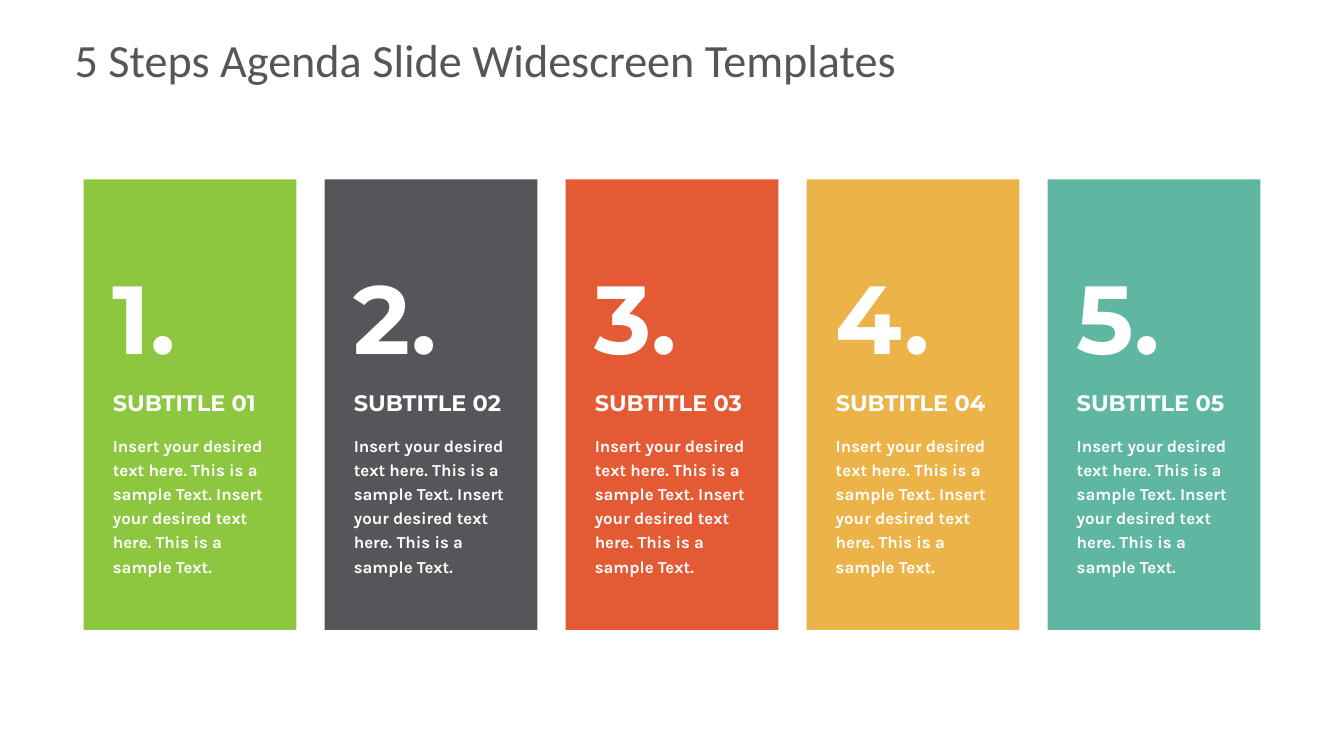
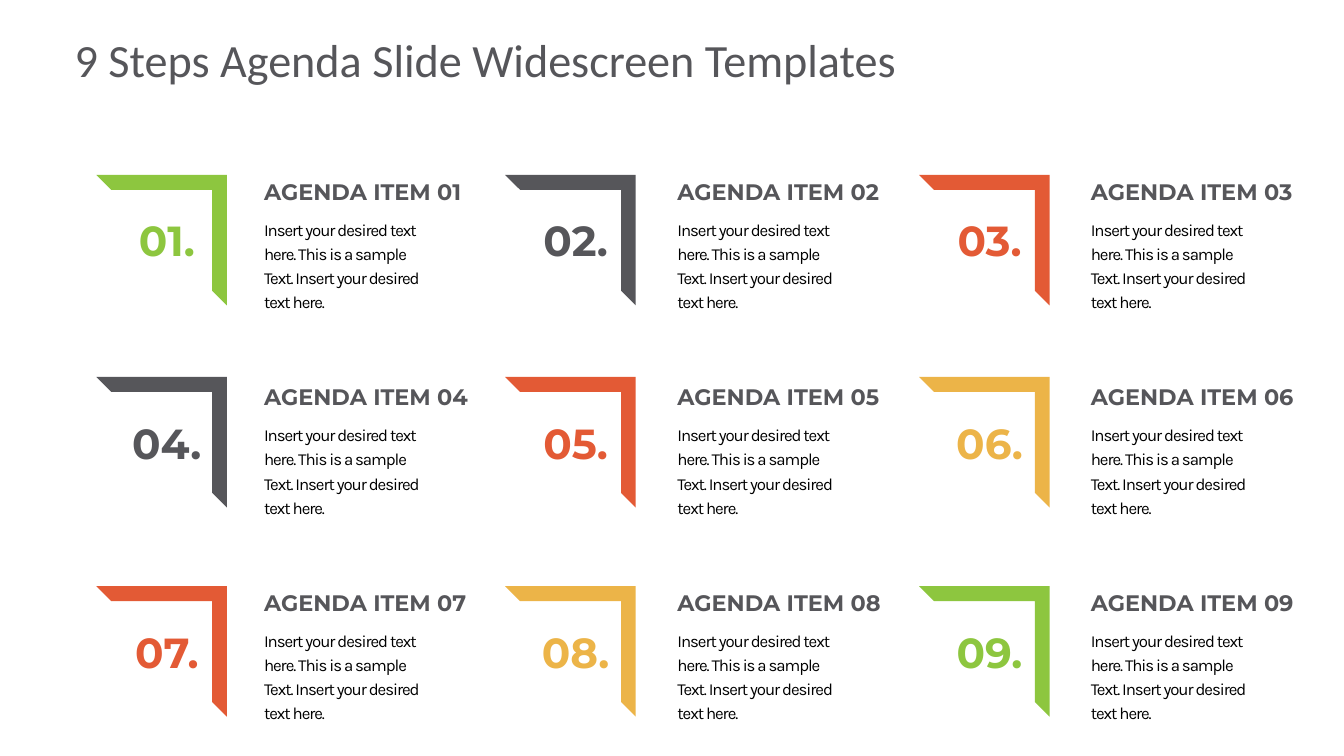
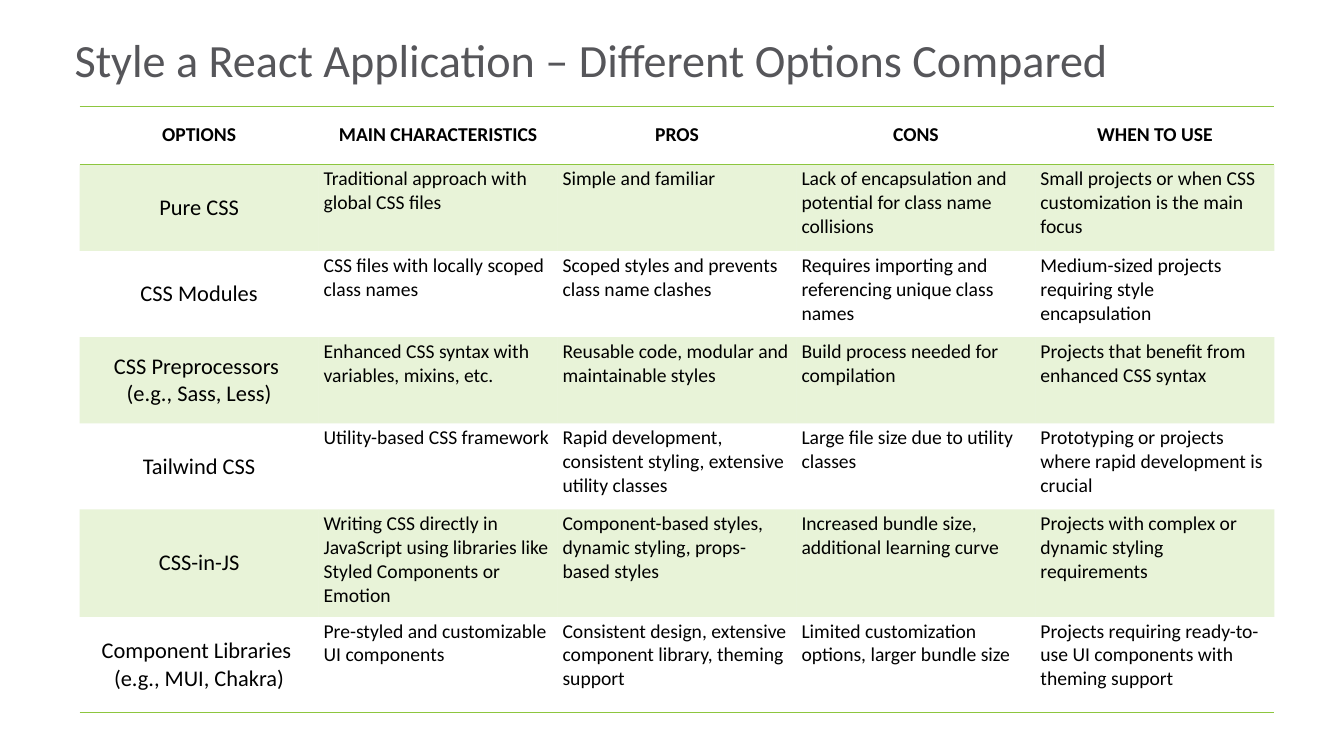
from dataclasses import dataclass
from typing import NamedTuple

from lxml.etree import SubElement
from pptx import Presentation
from pptx.dml.color import RGBColor
from pptx.enum.shapes import MSO_SHAPE
from pptx.enum.text import MSO_ANCHOR, MSO_AUTO_SIZE, PP_ALIGN
from pptx.oxml.ns import qn
from pptx.util import Inches, Pt


@dataclass(frozen=True)
class Theme:
    green: str = "8DC63F"
    grey: str = "56565A"
    red: str = "E35A35"
    amber: str = "ECB448"
    teal: str = "5FB7A2"
    white: str = "FFFFFF"
    black: str = "000000"
    base_font: str = "Calibri"
    head_font: str = "Montserrat"
    body_font: str = "Karla"
    title_size: float = 66
    step_size: float = 138
    number_size: float = 60
    head_size: float = 32
    cell_size: float = 28
    body_size: float = 24

    @property
    def accents(self) -> list[str]:
        return [self.green, self.grey, self.red, self.amber, self.teal]


T = Theme()


class Box(NamedTuple):
    x: float
    y: float
    w: float
    h: float

    def lengths(self) -> list[int]:
        return [Inches(v) for v in self]


@dataclass(frozen=True)
class Style:
    size: float
    font: str
    color: str
    bold: bool = False
    tracking: float = 0


@dataclass(frozen=True)
class Step:
    x: float
    number: int
    color: str


@dataclass(frozen=True)
class AgendaItem:
    frame_x: float
    frame_y: float
    text_x: float
    text_y: float
    number: int
    color: str


TITLE_BOX = Box(1.38, 0.57, 23.94, 1.35)
TITLE_STYLE = Style(T.title_size, T.base_font, T.grey)
SENTENCE = "Insert your desired text here."
SAMPLE = f"{SENTENCE} This is a sample Text."
NO_TABLE_STYLE = "{2D5ABB26-0587-4C30-8999-92F81FD0307C}"


def add_run(p, text: str, style: Style) -> None:
    r = p.add_run()
    r.text = text
    r.font.size = Pt(style.size)
    r.font.name = style.font
    r.font.bold = style.bold
    r.font.color.rgb = RGBColor.from_string(style.color)
    if style.tracking:
        r.font._element.set("spc", str(int(style.tracking * 100)))


def add_slide(prs, title: str):
    s = prs.slides.add_slide(prs.slide_layouts[5])
    sp = s.shapes.title
    sp.left, sp.top, sp.width, sp.height = TITLE_BOX.lengths()
    tf = sp.text_frame
    tf.word_wrap = True
    tf.auto_size = MSO_AUTO_SIZE.NONE
    tf.vertical_anchor = MSO_ANCHOR.MIDDLE
    p = tf.paragraphs[0]
    p.alignment = PP_ALIGN.LEFT
    p.line_spacing = 0.9
    add_run(p, title, TITLE_STYLE)
    return s


def add_shape(s, kind: MSO_SHAPE, box: Box, color: str):
    sp = s.shapes.add_shape(kind, *box.lengths())
    sp.shadow.inherit = False
    sp.fill.solid()
    sp.fill.fore_color.rgb = RGBColor.from_string(color)
    sp.line.fill.background()
    return sp


def add_text(s, box: Box, text: str, style: Style, anchor=MSO_ANCHOR.TOP,
             align=PP_ALIGN.LEFT, wrap: bool = False):
    tf = s.shapes.add_textbox(*box.lengths()).text_frame
    tf.word_wrap = wrap
    tf.auto_size = MSO_AUTO_SIZE.SHAPE_TO_FIT_TEXT
    tf.vertical_anchor = anchor
    p = tf.paragraphs[0]
    p.alignment = align
    add_run(p, text, style)
    return p


def add_body(s, box: Box, text: str, style: Style) -> None:
    p = add_text(s, box, text, style, wrap=True)
    p.line_spacing = 1.2
    p.space_before = Pt(style.size * 0.2)


def draw_step(s, step: Step) -> None:
    x = step.x + 0.48
    add_shape(s, MSO_SHAPE.RECTANGLE, Box(step.x, 3.56, 4.22, 8.94), step.color)
    add_text(s, Box(x, 5.05, 2.14, 2.42), f"{step.number}.",
             Style(T.step_size, T.head_font, T.white, True), MSO_ANCHOR.MIDDLE)
    add_text(s, Box(x, 7.66, 3.45, 0.64), f"SUBTITLE {step.number:02}",
             Style(T.head_size, T.head_font, T.white, True), MSO_ANCHOR.BOTTOM)
    add_body(s, Box(x, 8.51, 3.27, 2.96), f"{SAMPLE} {SAMPLE}",
             Style(T.body_size, T.body_font, T.white, True))


def draw_item(s, item: AgendaItem) -> None:
    sp = add_shape(s, MSO_SHAPE.HALF_FRAME,
                   Box(item.frame_x, item.frame_y, 2.59, 2.59), item.color)
    sp.adjustments[0], sp.adjustments[1] = 0.115, 0.112
    sp._element.spPr.xfrm.set("flipH", "1")
    add_text(s, Box(item.frame_x + 0.6, item.frame_y + 0.74, 1.6, 1.11),
             f"{item.number:02}.",
             Style(T.number_size, T.head_font, item.color, True),
             MSO_ANCHOR.MIDDLE, PP_ALIGN.CENTER)
    add_text(s, Box(item.text_x, item.text_y, 4.44, 0.64),
             f"AGENDA ITEM {item.number:02}",
             Style(T.head_size, T.head_font, T.grey, True), MSO_ANCHOR.BOTTOM)
    add_body(s, Box(item.text_x, item.text_y + 0.75, 3.46, 1.99),
             f"{SAMPLE} {SENTENCE}",
             Style(T.body_size, T.body_font, T.black, tracking=-1.5))


def add_border(cell, side: str) -> None:
    ln = SubElement(cell._tc.get_or_add_tcPr(), qn(f"a:{side}"), w=str(Pt(1)))
    fill = SubElement(ln, qn("a:solidFill"))
    SubElement(fill, qn("a:srgbClr"), val=T.green)


def fill_cell(cell, tinted: bool) -> None:
    if not tinted:
        cell.fill.background()
        return
    cell.fill.solid()
    cell.fill.fore_color.rgb = RGBColor.from_string(T.green)
    color = cell._tc.tcPr.find(f"{qn('a:solidFill')}/{qn('a:srgbClr')}")
    SubElement(color, qn("a:alpha"), val="20000")


def write_cell(cell, text: str, style: Style, centred: bool) -> None:
    cell.vertical_anchor = MSO_ANCHOR.MIDDLE if centred else MSO_ANCHOR.TOP
    tf = cell.text_frame
    for i, line in enumerate(text.split("\n")):
        p = tf.add_paragraph() if i else tf.paragraphs[0]
        p.alignment = PP_ALIGN.CENTER if centred else PP_ALIGN.LEFT
        add_run(p, line, style)


def draw_table(s, box: Box, heights: list[float], rows: list[list[str]]) -> None:
    table = s.shapes.add_table(len(rows), len(rows[0]), *box.lengths()).table
    table._tbl.tblPr.find(qn("a:tableStyleId")).text = NO_TABLE_STYLE
    for col in table.columns:
        col.width = Inches(box.w / len(rows[0]))
    for i, (height, texts) in enumerate(zip(heights, rows)):
        table.rows[i].height = Inches(height)
        for j, text in enumerate(texts):
            cell = table.cell(i, j)
            header = i == 0
            label = j == 0 and not header
            size = T.head_size if label else T.cell_size
            write_cell(cell, text, Style(size, T.base_font, T.black, header),
                       header or label)
            if header:
                add_border(cell, "lnT")
            if header or i == len(rows) - 1:
                add_border(cell, "lnB")
            fill_cell(cell, i % 2 == 1)


OPTIONS = [
    ["OPTIONS", "MAIN CHARACTERISTICS", "PROS", "CONS", "WHEN TO USE"],
    ["Pure CSS",
     "Traditional approach with global CSS files",
     "Simple and familiar",
     "Lack of encapsulation and potential for class name collisions",
     "Small projects or when CSS customization is the main focus"],
    ["CSS Modules",
     "CSS files with locally scoped class names",
     "Scoped styles and prevents class name clashes",
     "Requires importing and referencing unique class names",
     "Medium-sized projects requiring style encapsulation"],
    ["CSS Preprocessors \n(e.g., Sass, Less)",
     "Enhanced CSS syntax with variables, mixins, etc.",
     "Reusable code, modular and maintainable styles",
     "Build process needed for compilation",
     "Projects that benefit from enhanced CSS syntax"],
    ["Tailwind CSS",
     "Utility-based CSS framework",
     "Rapid development, consistent styling, extensive utility classes",
     "Large file size due to utility classes",
     "Prototyping or projects where rapid development is crucial"],
    ["CSS-in-JS",
     "Writing CSS directly in JavaScript using libraries like "
     "Styled Components or Emotion",
     "Component-based styles, dynamic styling, props-based styles",
     "Increased bundle size, additional learning curve",
     "Projects with complex or dynamic styling requirements"],
    ["Component Libraries \n(e.g., MUI, Chakra)",
     "Pre-styled and customizable UI components",
     "Consistent design, extensive component library, theming support",
     "Limited customization options, larger bundle size",
     "Projects requiring ready-to-use UI components with theming support"],
]


def main() -> None:
    prs = Presentation()
    prs.slide_width, prs.slide_height = Inches(26.66), Inches(15)

    s = add_slide(prs, "5 Steps Agenda Slide Widescreen Templates")
    for i, color in enumerate(T.accents):
        draw_step(s, Step(1.66 + 4.78 * i, i + 1, color))

    s = add_slide(prs, "9 Steps Agenda Slide Widescreen Templates")
    for row, frame_y in enumerate([3.47, 7.48, 11.63]):
        for col, frame_x in enumerate([1.91, 10.02, 18.23]):
            draw_item(s, AgendaItem(frame_x, frame_y,
                                    5.14 + 8.2 * col, 3.47 + 4.08 * row,
                                    3 * row + col + 1,
                                    T.accents[(row + col) % 4]))

    s = add_slide(prs, "Style a React Application – Different Options Compared")
    heights = [1.17, 1.71, 1.71, 1.71, 1.71, 2.13, 1.9]
    draw_table(s, Box(1.58, 2.1, 23.7, sum(heights)), heights, OPTIONS)

    prs.save("out.pptx")


main()
